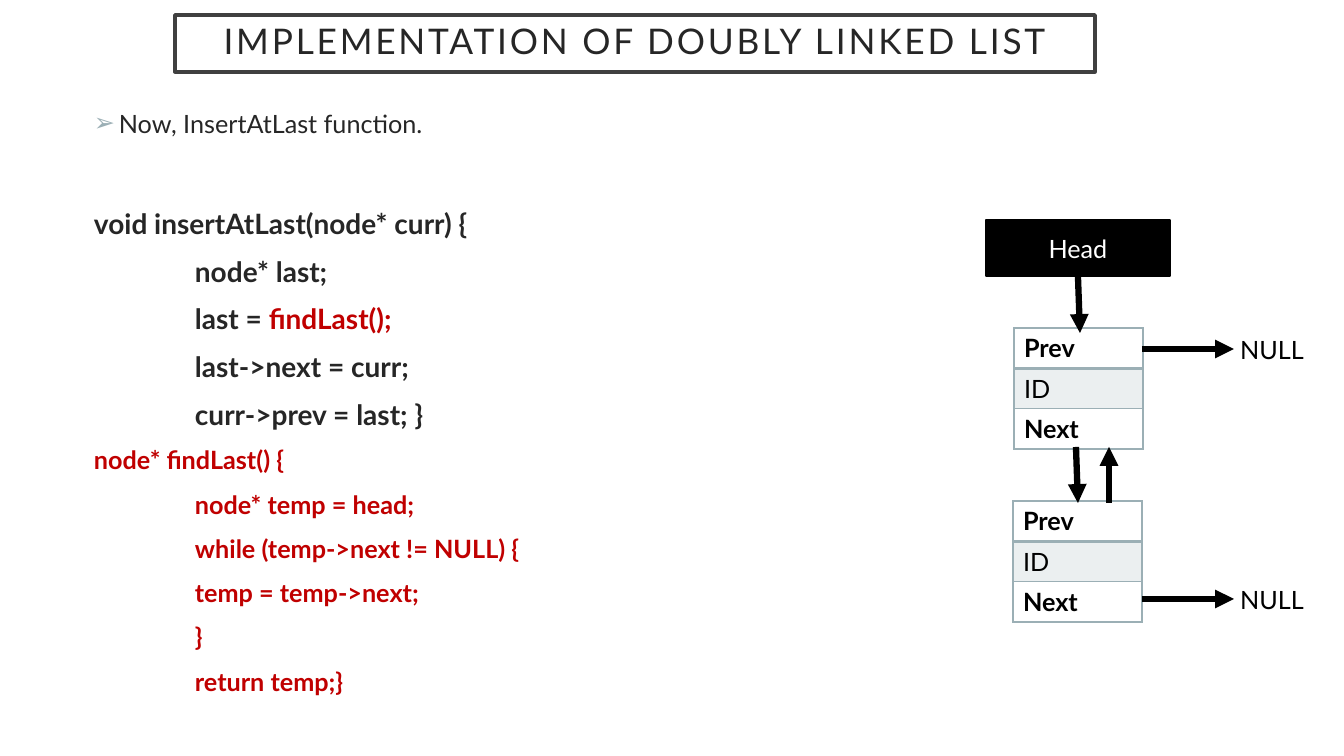
from lxml import etree
from pptx import Presentation
from pptx.dml.color import RGBColor
from pptx.enum.shapes import MSO_CONNECTOR, MSO_SHAPE
from pptx.enum.text import MSO_ANCHOR, PP_ALIGN
from pptx.oxml.ns import qn
from pptx.util import Pt

RECTANGLE, STRAIGHT = MSO_SHAPE.RECTANGLE, MSO_CONNECTOR.STRAIGHT
MIDDLE, LEFT, CENTER = MSO_ANCHOR.MIDDLE, PP_ALIGN.LEFT, PP_ALIGN.CENTER
PIXEL = 914400 / 100.8
BLACK, WHITE, DARK, RED = "000000", "FFFFFF", "262626", "C00000"
SAGE, PALE_SAGE = "9BAFB5", "EBEFF0"


def color(hex_string):
    """Turn a hex string into a colour."""
    return RGBColor.from_string(hex_string)


def write(para, spans, align=LEFT, **formats):
    """Write (text, colour) spans into a paragraph with shared font values."""
    para.alignment = align
    for text, hex_string in spans:
        span = para.add_run()
        span.text = text
        span.font.color.rgb = color(hex_string)
        for name, value in {"name": "Lato", "size": Pt(18), **formats}.items():
            setattr(span.font, name, value)


deck = Presentation()
deck.slide_width, deck.slide_height = [round(n * PIXEL) for n in (1344, 756)]
page = deck.slides.add_slide(deck.slide_layouts[6])

# Title and head boxes
boxes = [
    ((175, 15, 920, 57), "IMPLEMENTATION OF DOUBLY LINKED LIST", 25.2, DARK, WHITE, "404040", 2.5),
    ((986, 220, 184, 56), "Head", 18, WHITE, BLACK, BLACK, 1),
]
for place, text, size, ink, fill, outline, weight in boxes:
    box = page.shapes.add_shape(RECTANGLE, *[round(n * PIXEL) for n in place])
    box.shadow.inherit = False
    box.fill.solid()
    box.fill.fore_color.rgb = color(fill)
    box.line.color.rgb = color(outline)
    box.line.width = Pt(weight)
    frame = box.text_frame
    frame.vertical_anchor = MIDDLE
    frame.margin_top = frame.margin_bottom = 0
    write(frame.paragraphs[0], [(text, ink)], CENTER, size=Pt(size))
title_para = page.shapes[0].text_frame.paragraphs[0]
title_para.line_spacing = 0.9
title_para.runs[0].font._element.set("spc", "200")

# Code listing: indent level, size, space before, spans
lines = [
    (0, 20, 48.8, [("void insertAtLast(node* curr) {", DARK)]),
    (1, 20, 10, [("node* last;", DARK)]),
    (1, 20, 10, [("last = ", DARK), ("findLast();", RED)]),
    (1, 20, 10, [("last->next = curr;", DARK)]),
    (1, 20, 10, [("curr->prev = last; }", DARK)]),
    (0, 18, 10, [("node* findLast() {", RED)]),
    (1, 18, 10, [("node* temp = head;", RED)]),
    (1, 18, 10, [("while (temp->next != NULL) {", RED)]),
    (1, 18, 10, [("temp = temp->next;", RED)]),
    (1, 18, 10, [("}", RED)]),
    (1, 18, 10, [("return temp;}", RED)]),
]
listing = page.shapes.add_textbox(*[round(n * PIXEL) for n in (84, 103, 880, 617)])
frame = listing.text_frame
frame.word_wrap = True
intro = frame.paragraphs[0]
write(intro, [("Now, InsertAtLast function.", DARK)])
bullet = intro._p.get_or_add_pPr()
bullet.set("marL", str(round(25 * PIXEL)))
bullet.set("indent", str(round(-25 * PIXEL)))
bullet_color = etree.SubElement(bullet, qn("a:buClr"))
etree.SubElement(bullet_color, qn("a:srgbClr"), val=SAGE)
etree.SubElement(bullet, qn("a:buFont"), typeface="Arial")
etree.SubElement(bullet, qn("a:buChar"), char="\u27a2")
for level, size, before, spans in lines:
    para = frame.add_paragraph()
    para.space_before = Pt(before)
    para._p.get_or_add_pPr().set("marL", str(round(level * 101 * PIXEL)))
    write(para, spans, size=Pt(size), bold=True)

# Nodes of the list: text, bold, fill, top and bottom border widths
fields = [("Prev", True, None, 1, 2), ("ID", False, PALE_SAGE, 2, 1), ("Next", True, None, 1, 1)]
for left, top in [(1014, 328), (1013, 501)]:
    place = [round(n * PIXEL) for n in (left, top, 129, 121)]
    node = page.shapes.add_table(len(fields), 1, *place).table
    node.first_row = node.horz_banding = False
    for row, (text, bold, fill, above, below) in enumerate(fields):
        cell = node.cell(row, 0)
        write(cell.text_frame.paragraphs[0], [(text, BLACK)], bold=bold)
        properties = cell._tc.get_or_add_tcPr()
        for side, weight in {"L": 1, "R": 1, "T": above, "B": below}.items():
            border = etree.SubElement(properties, qn("a:ln" + side), w=str(Pt(weight)))
            paint = etree.SubElement(border, qn("a:solidFill"))
            etree.SubElement(paint, qn("a:srgbClr"), val=SAGE)
        if fill:
            cell.fill.solid()
            cell.fill.fore_color.rgb = color(fill)
        else:
            cell.fill.background()

# NULL labels
for top in (329, 579):
    label = page.shapes.add_textbox(*[round(n * PIXEL) for n in (1216, top, 112, 40)])
    label.text_frame.word_wrap = True
    write(label.text_frame.paragraphs[0], [("NULL", BLACK)], CENTER)

# Pointers
pointers = [
    (1078, 276, 1080, 333),
    (1142, 349, 1234, 349),
    (1076, 447, 1078, 503),
    (1109, 503, 1109, 447),
    (1142, 599, 1234, 599),
]
for ends in pointers:
    arrow = page.shapes.add_connector(STRAIGHT, *[round(n * PIXEL) for n in ends])
    arrow.line.color.rgb = color(BLACK)
    arrow.line.width = Pt(4.5)
    properties = arrow._element.spPr
    etree.SubElement(properties.find(qn("a:ln")), qn("a:tailEnd"), type="triangle")
    etree.SubElement(properties, qn("a:effectLst"))

deck.save("out.pptx")
